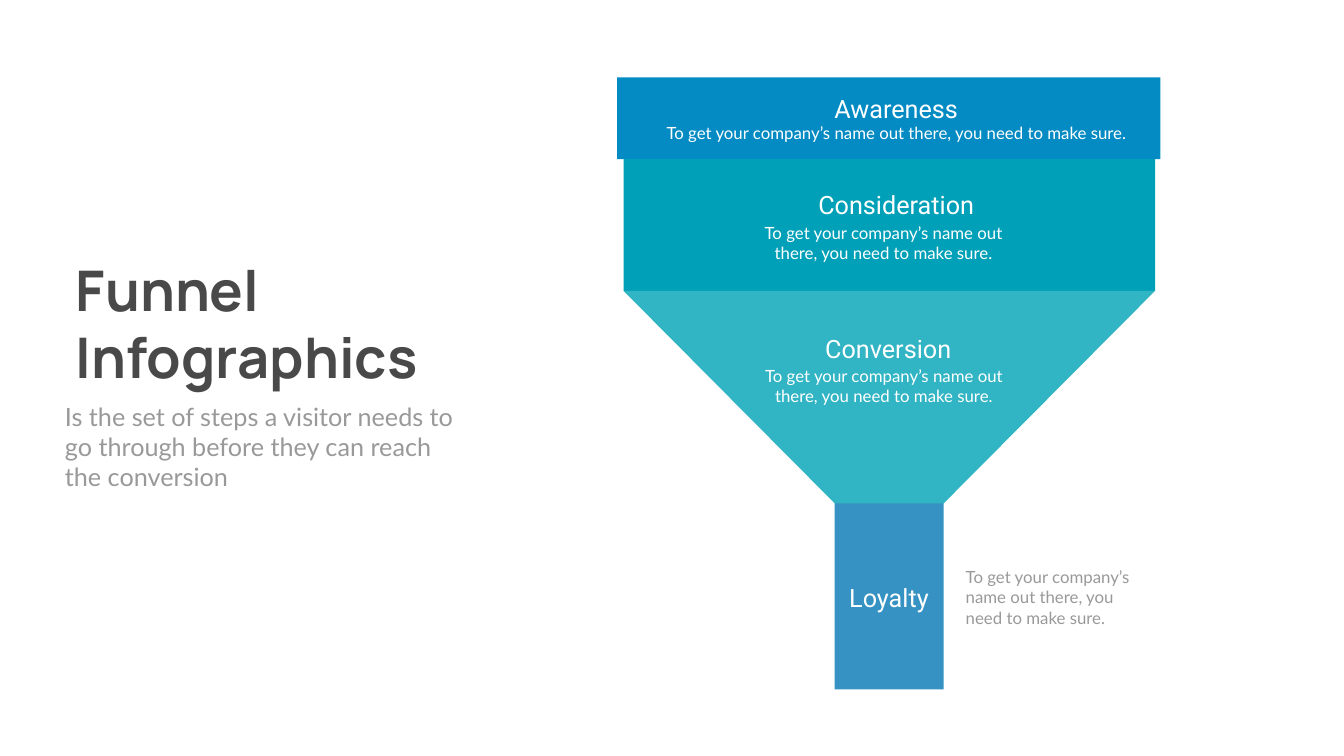
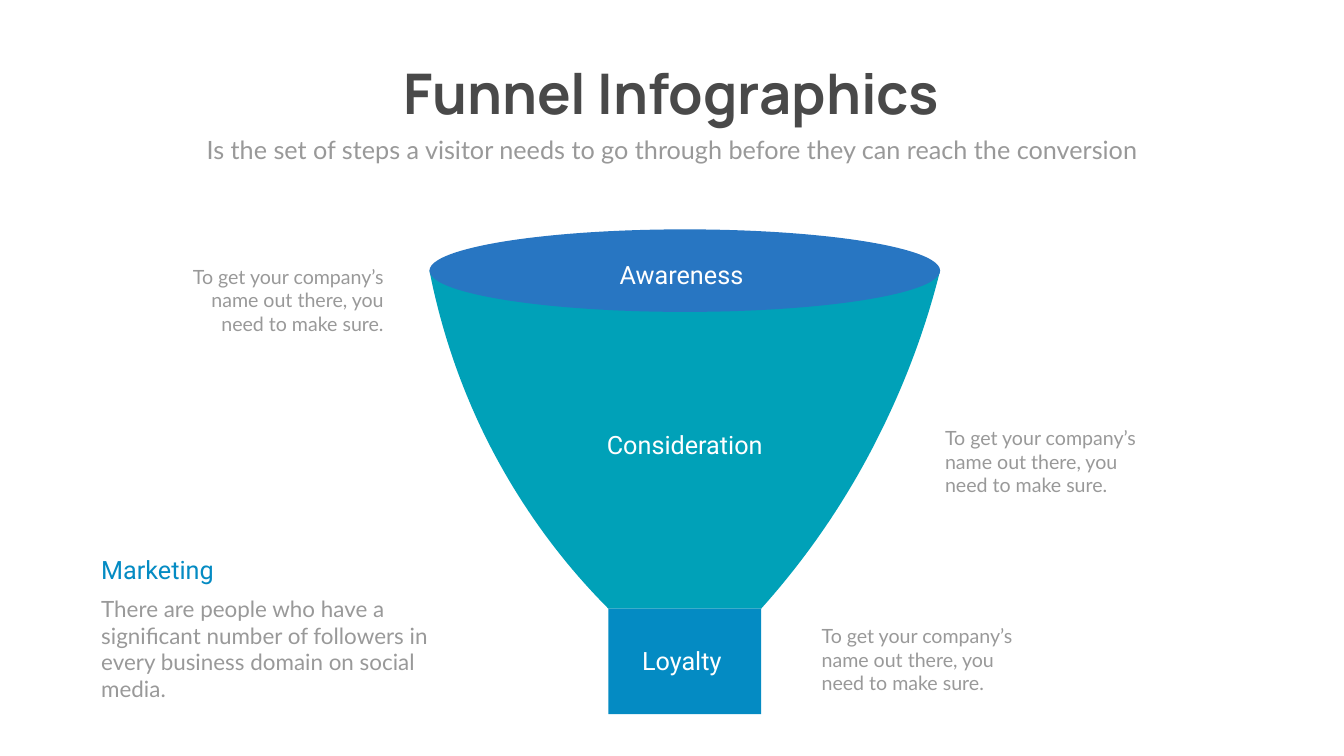
from pptx import Presentation
from pptx.dml.color import RGBColor
from pptx.enum.shapes import MSO_SHAPE
from pptx.enum.text import MSO_AUTO_SIZE, PP_ALIGN
from pptx.util import Cm, Pt

# Shared colours, fonts and wording
WHITE = RGBColor(0xFF, 0xFF, 0xFF)
DARK = RGBColor(0x49, 0x49, 0x49)
GRAY = RGBColor(0x99, 0x99, 0x99)
BLUE = RGBColor(0x04, 0x8B, 0xC3)
TEAL = RGBColor(0x00, 0xA1, 0xB8)
AQUA = RGBColor(0x31, 0xB4, 0xC4)
STEEL = RGBColor(0x36, 0x92, 0xC2)
ROYAL = RGBColor(0x28, 0x76, 0xC2)

TITLE_FONT, HEADING_FONT, BODY_FONT = "Manrope", "Roboto", "Lato"
SUBTITLE = "Is the set of steps a visitor needs to go through before they can reach the conversion"
NOTE = "To get your company’s name out there, you need to make sure."
LINE_HEIGHT = 1.8
CURVE_STEPS = 24


def add_text(page, box, text, size=36, font=BODY_FONT, color=GRAY,
             bold=False, align=PP_ALIGN.LEFT, wrap=True):
    """Write each line of text as a paragraph; box is left, top, width, height in cm."""
    frame = page.shapes.add_textbox(*map(Cm, box)).text_frame
    frame.word_wrap = wrap
    frame.auto_size = MSO_AUTO_SIZE.SHAPE_TO_FIT_TEXT
    for index, line in enumerate(text.split("\n")):
        para = frame.add_paragraph() if index else frame.paragraphs[0]
        para.alignment = align
        span = para.add_run()
        span.text = line
        span.font.size = Pt(size)
        span.font.name = font
        span.font.bold = bold
        span.font.color.rgb = color


def add_heading(page, left, top, width, text, color=WHITE, align=PP_ALIGN.CENTER):
    add_text(page, (left, top, width, LINE_HEIGHT), text,
             font=HEADING_FONT, color=color, align=align)


def paint(shape, color):
    shape.fill.solid()
    shape.fill.fore_color.rgb = color
    shape.line.fill.background()
    shape.shadow.inherit = False


def add_block(page, box, color, kind=MSO_SHAPE.RECTANGLE):
    paint(page.shapes.add_shape(kind, *map(Cm, box)), color)


def add_outline(page, left, top, points, color):
    """Draw a closed outline through points given in cm from left, top."""
    corners = [(Cm(left + x), Cm(top + y)) for x, y in points]
    builder = page.shapes.build_freeform(*corners[0])
    builder.add_line_segments(corners[1:], close=True)
    paint(builder.convert_to_shape(), color)


def curve(start, pull_start, pull_end, end):
    """Points along a cubic curve, both ends included."""
    points = []
    for step in range(CURVE_STEPS + 1):
        t = step / CURVE_STEPS
        weights = ((1 - t) ** 3, 3 * t * (1 - t) ** 2, 3 * t * t * (1 - t), t ** 3)
        points.append(tuple(
            sum(weight * value for weight, value in zip(weights, values))
            for values in zip(start, pull_start, pull_end, end)))
    return points


def add_title(page, title_box, subtitle_box, title, align):
    add_text(page, title_box, title, size=80, font=TITLE_FONT, color=DARK,
             bold=True, align=align, wrap=False)
    add_text(page, subtitle_box, SUBTITLE, align=align)


def add_straight_funnel(page, left, top, width):
    neck_left, neck_right = 10.64, 16.13
    cone_top, cone_bottom = 10.76, 21.47

    # Neck, rim, bowl and cone
    add_block(page, (left + neck_left, top + 16.65, neck_right - neck_left, 14.2), STEEL)
    add_block(page, (left - 0.33, top, width + 0.6, 4.12), BLUE)
    add_block(page, (left, top + 4.12, width, cone_top - 4.12), TEAL)
    add_outline(page, left, top, [(0, cone_top), (width, cone_top),
                                  (neck_right, cone_bottom), (neck_left, cone_bottom)], AQUA)

    # Stage headings: left, top, width
    for name, x, y, w in (("Conversion", 6.78, 12.76, 13.11),
                          ("Consideration", 1.19, 5.52, 25.1),
                          ("Loyalty", 10.62, 25.31, 5.51),
                          ("Awareness", 1.19, 0.7, 25.1)):
        add_heading(page, left + x, top + y, w, name)

    # Stage notes: the last one stands beside the neck
    for x, y, w, h, color, align in (
            (6.32, 14.39, 13.59, 2.31, WHITE, PP_ALIGN.CENTER),
            (5.74, 7.2, 14.71, 2.31, WHITE, PP_ALIGN.CENTER),
            (0.71, 2.17, 26.06, 1.27, WHITE, PP_ALIGN.CENTER),
            (16.99, 24.55, 9.4, 3.33, GRAY, PP_ALIGN.LEFT)):
        add_text(page, (left + x, top + y, w, h), NOTE, size=24, color=color, align=align)


def add_curved_funnel(page, left, top, width):
    rim_height = 4.16
    rim_middle = rim_height / 2
    neck_left, neck_right, neck_top = 9.02, 16.71, 19.12

    # Bowl, neck and rim
    left_side = (curve((neck_left, neck_top), (6.45, 16.54), (4.34, 13.56), (2.74, 10.29))
                 + curve((2.74, 10.29), (1.47, 7.67), (0.56, 4.93), (0, rim_middle))[1:])
    right_side = (curve((width, rim_middle), (25.02, 4.95), (23.98, 7.72), (22.66, 10.36))
                  + curve((22.66, 10.36), (21.08, 13.54), (19.08, 16.48),
                          (neck_right, neck_top))[1:])
    add_outline(page, left, top, left_side + right_side, TEAL)
    add_block(page, (left + neck_left, top + neck_top, neck_right - neck_left, 5.31), BLUE)
    add_block(page, (left, top, width, rim_height), ROYAL, MSO_SHAPE.OVAL)

    # Stage headings: left, top, width
    for name, x, y, w in (("Consideration", 5.51, 9.93, 14.71),
                          ("Awareness", 0.15, 1.39, 25.1),
                          ("Loyalty", 9.96, 20.83, 5.51)):
        add_heading(page, left + x, top + y, w, name)

    # Notes beside the funnel
    for x, y, align in ((19.51, 19.76, PP_ALIGN.LEFT),
                        (width, 9.8, PP_ALIGN.LEFT),
                        (-13.54, 1.65, PP_ALIGN.RIGHT)):
        add_text(page, (left + x, top + y, 11.48, 3.84), NOTE, size=28, align=align)


def add_marketing(page, left, top):
    add_text(page, (left, top + 2.06, 19.13, 4.37),
             "There are people who have a significant number of followers in "
             "every business domain on social media.", size=32)
    add_heading(page, left, top, 7.59, "Marketing", color=BLUE, align=PP_ALIGN.LEFT)


def main():
    deck = Presentation()
    deck.slide_width, deck.slide_height = Cm(67.72), Cm(38.1)
    blank = deck.slide_layouts[6]

    # Straight funnel with the title at its left
    page = deck.slides.add_slide(blank)
    add_title(page, (3.58, 12.75, 19.25, 7.09), (3.02, 20.09, 20.12, 4.88),
              "Funnel\nInfographics", PP_ALIGN.LEFT)
    add_straight_funnel(page, 31.42, 3.9, 26.78)

    # Curved funnel below a centred title
    page = deck.slides.add_slide(blank)
    add_curved_funnel(page, 21.64, 11.56, 25.73)
    add_marketing(page, 4.85, 27.79)
    add_title(page, (18.97, 2.84, 29.74, 3.68), (7.42, 6.63, 52.88, LINE_HEIGHT),
              "Funnel Infographics", PP_ALIGN.CENTER)

    deck.save("out.pptx")


if __name__ == "__main__":
    main()
